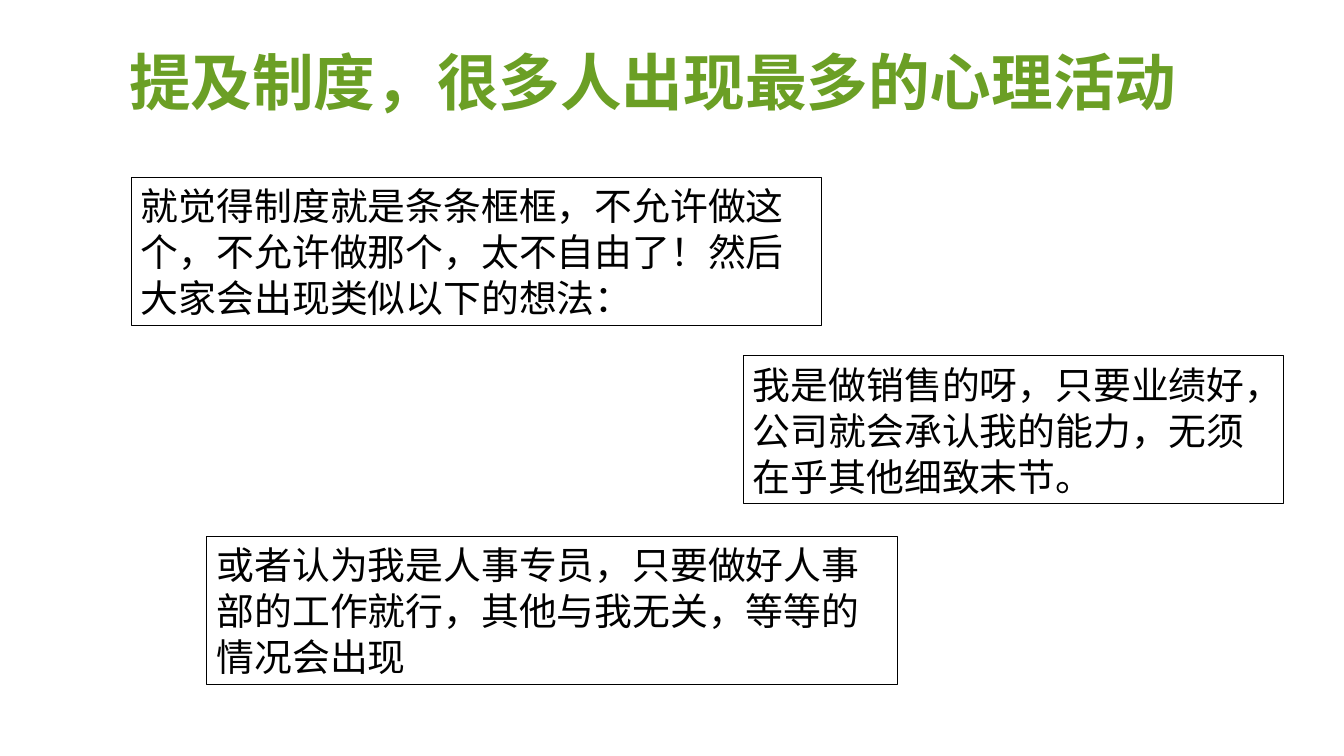
from lxml.etree import SubElement
from pptx import Presentation
from pptx.dml.color import RGBColor as Rgb
from pptx.enum.shapes import MSO_SHAPE as Shape
from pptx.enum.text import MSO_ANCHOR as Anchor, MSO_AUTO_SIZE as Fit, PP_ALIGN as Align
from pptx.oxml.ns import qn
from pptx.util import Inches, Pt

COLORS = {"title": "6B9F25", "ink": "000000"}
FONT = "Noto Sans CJK SC"


class Deck:
    def __init__(self):
        self.prs = Presentation()
        self.prs.slide_width = Inches(13.33)
        self.prs.slide_height = Inches(7.5)
        self.slide = self.prs.slides.add_slide(self.prs.slide_layouts[5])

    def color(self, name):
        return Rgb.from_string(COLORS[name])

    def label(self, shape, text, size, line, color, bold=False):
        frame = shape.text_frame
        frame.text = text
        frame.word_wrap = True
        frame.auto_size = Fit.NONE
        frame.vertical_anchor = Anchor.MIDDLE
        para = frame.paragraphs[0]
        para.alignment = Align.LEFT
        para.line_spacing = Pt(line)
        font = para.font
        font.name = FONT
        font.size = Pt(size)
        font.bold = bold
        font.color.rgb = self.color(color)
        props = para._p.pPr.find(qn("a:defRPr"))
        SubElement(props, qn("a:ea")).set("typeface", FONT)

    def title(self, text, left, top, width, height):
        shape = self.slide.shapes.title
        shape.left, shape.top = Inches(left), Inches(top)
        shape.width, shape.height = Inches(width), Inches(height)
        self.label(shape, text, 44, 53, "title", True)

    def box(self, text, left, top, width, height=1.47):
        shape = self.slide.shapes.add_shape(
            Shape.RECTANGLE, Inches(left), Inches(top), Inches(width), Inches(height))
        shape.shadow.inherit = False
        shape.fill.background()
        shape.line.color.rgb = self.color("ink")
        shape.line.width = Pt(0.75)
        self.label(shape, text, 27, 32.8, "ink")

    def save(self):
        self.prs.save("out.pptx")


def main():
    deck = Deck()
    deck.title("提及制度，很多人出现最多的心理活动", 1.18, 0.38, 10.97, 0.84)
    deck.box("就觉得制度就是条条框框，不允许做这个，不允许做那个，太不自由了！然后大家会出现类似以下的想法：",
             1.3, 1.76, 6.85)
    deck.box("我是做销售的呀，只要业绩好，公司就会承认我的能力，无须在乎其他细致末节。",
             7.37, 3.53, 5.36)
    deck.box("或者认为我是人事专员，只要做好人事部的工作就行，其他与我无关，等等的情况会出现",
             2.05, 5.32, 6.85)
    deck.save()


if __name__ == "__main__":
    main()
